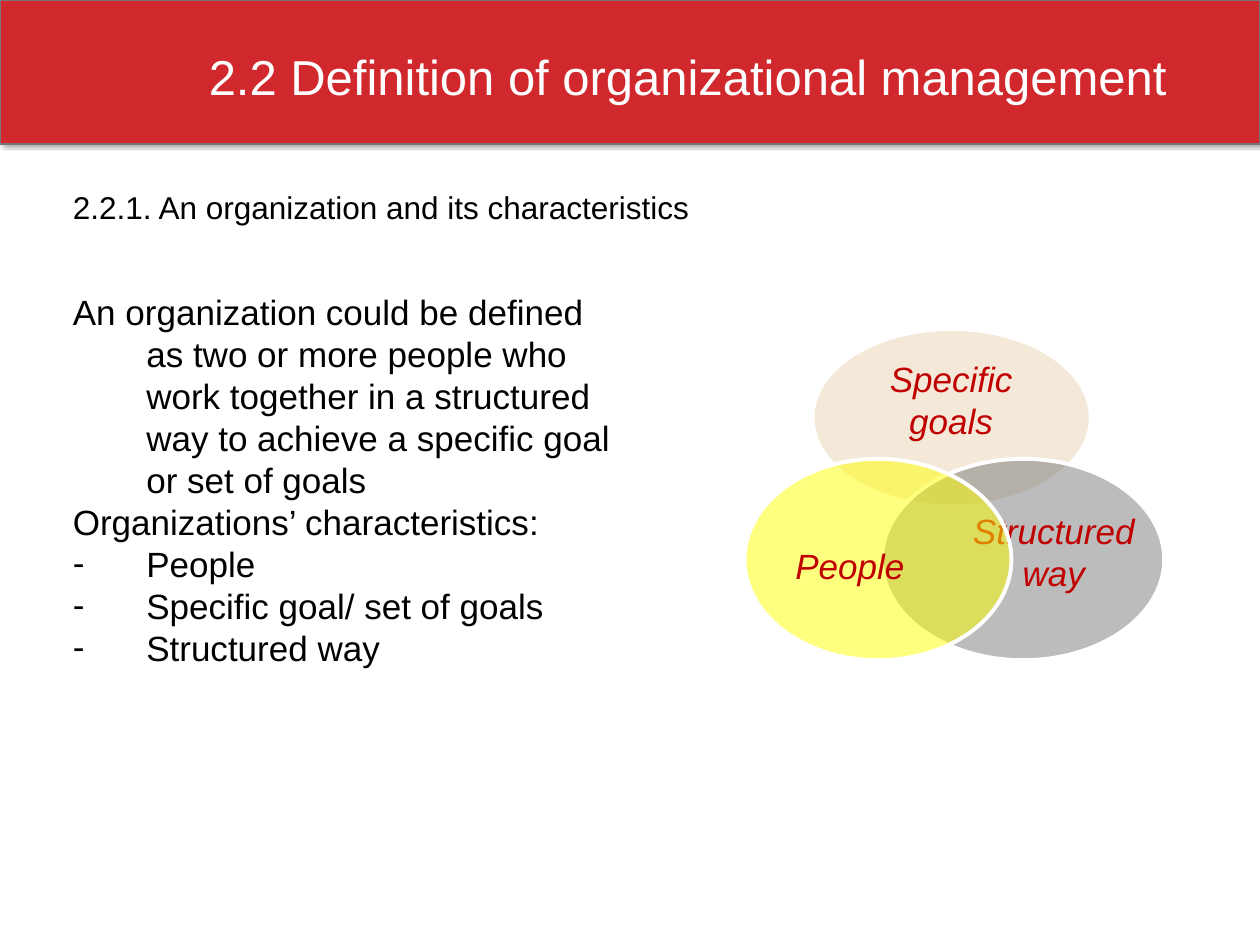
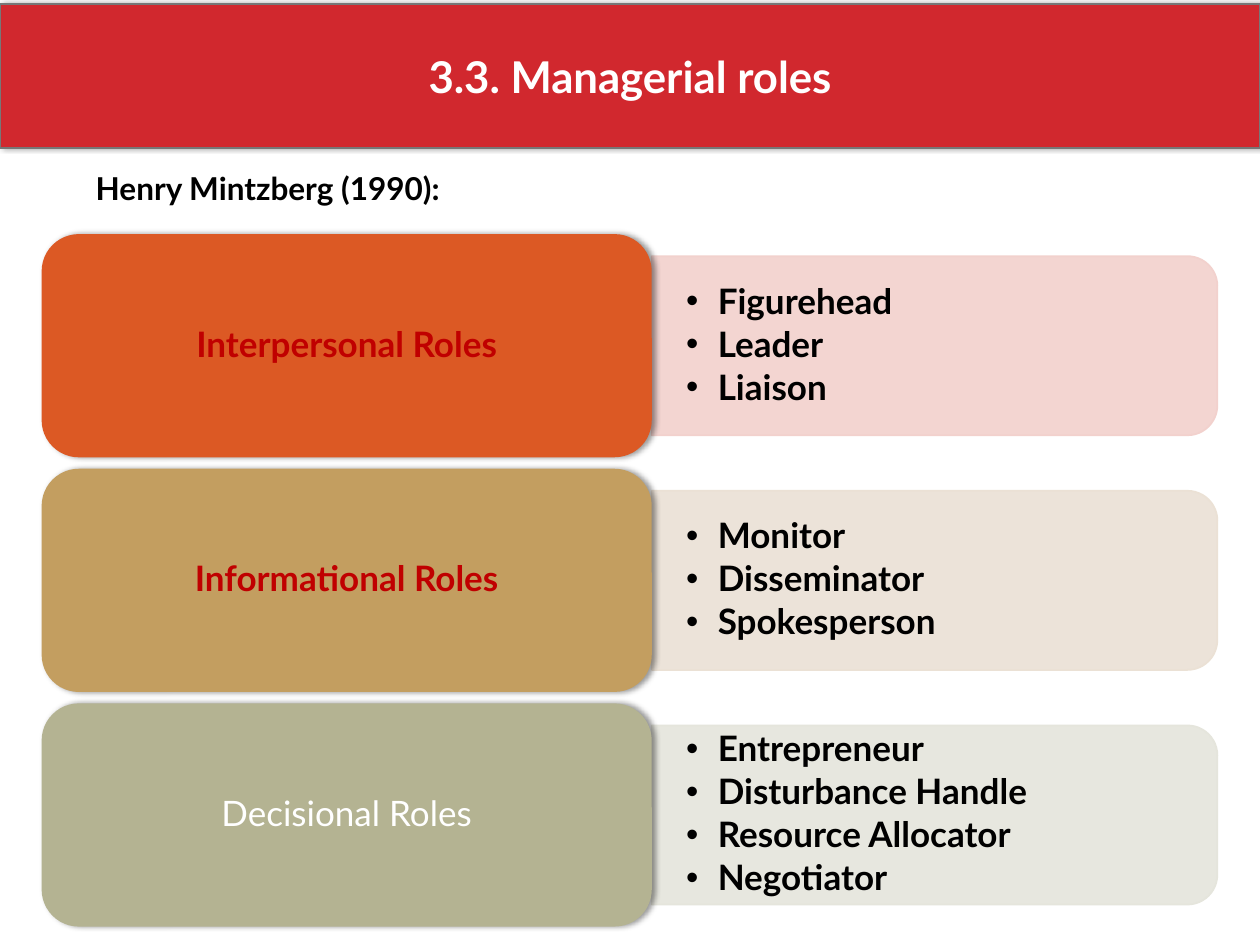
from lxml import etree
from pptx import Presentation
from pptx import util as u
from pptx.dml.color import RGBColor
from pptx.enum import shapes, text
from pptx.oxml import ns

RED = RGBColor(0xD1, 0x28, 0x2E)
DARK_RED = RGBColor(0xC0, 0x00, 0x00)
BAND_EDGE = RGBColor(0x77, 0x77, 0x77)
WHITE = RGBColor(0xFF, 0xFF, 0xFF)
BLACK = RGBColor(0x00, 0x00, 0x00)
SAND = RGBColor(0xEB, 0xD4, 0xB3)
GREY = RGBColor(0x7A, 0x7A, 0x7A)
YELLOW = RGBColor(0xFF, 0xFF, 0x00)
ORANGE = RGBColor(0xDC, 0x59, 0x24)
PINK = RGBColor(0xF2, 0xD1, 0xCD)
OCHRE = RGBColor(0xC3, 0x9E, 0x60)
BEIGE = RGBColor(0xEB, 0xE1, 0xD5)
OLIVE = RGBColor(0xB4, 0xB3, 0x92)
PALE_OLIVE = RGBColor(0xE5, 0xE5, 0xDC)

SLIDE_W, SLIDE_H = 25.4, 19.05
BAND_H = 2.9
SHAPE = shapes.MSO_SHAPE
LEFT, CENTER = text.PP_ALIGN.LEFT, text.PP_ALIGN.CENTER
TOP, MIDDLE = text.MSO_ANCHOR.TOP, text.MSO_ANCHOR.MIDDLE


def child(parent, tag, **attributes):
    node = etree.SubElement(parent, ns.qn(tag))
    for name, value in attributes.items():
        node.set(name, str(value))
    return node


def write(frame, lines, *, font="Arial", size=20, color=BLACK, bold=False,
          italic=False, align=LEFT, indent=0, bullet=None, spacing=None,
          before=0, after=0):
    """Add one paragraph per line, filling the frame's empty first one."""
    for line in lines:
        first = frame.paragraphs[0]
        paragraph = frame.add_paragraph() if first.runs else first
        paragraph.alignment = align
        paragraph.space_before = u.Pt(before)
        paragraph.space_after = u.Pt(after)
        if spacing:
            paragraph.line_spacing = spacing
        props = paragraph._p.get_or_add_pPr()
        if indent:
            props.set("marL", str(u.Cm(indent)))
            props.set("indent", str(-u.Cm(indent)))
        if bullet:
            child(props, "a:buFont", typeface="Arial")
            child(props, "a:buChar", char=bullet)
        run = paragraph.add_run()
        run.text = line
        run.font.name = font
        run.font.size = u.Pt(size)
        run.font.bold = bold
        run.font.italic = italic
        run.font.color.rgb = color


def set_frame(frame, anchor, insets):
    frame.word_wrap = True
    frame.vertical_anchor = anchor
    (frame.margin_left, frame.margin_top,
     frame.margin_right, frame.margin_bottom) = map(u.Cm, insets)
    return frame


def add_frame(slide, box, anchor=TOP, insets=(0.25, 0.13, 0.25, 0.13)):
    return set_frame(slide.shapes.add_textbox(*map(u.Cm, box)).text_frame,
                     anchor, insets)


def add_form(slide, kind, box, fill, *, line=None, width=1.0, alpha=None,
             shadow=False):
    form = slide.shapes.add_shape(kind, *map(u.Cm, box))
    form.shadow.inherit = False
    form.fill.solid()
    form.fill.fore_color.rgb = fill
    props = form._element.spPr
    if alpha:
        fill_color = props.find(ns.qn("a:solidFill"))[0]
        child(fill_color, "a:alpha", val=alpha * 1000)
    if line is None:
        form.line.fill.background()
    else:
        form.line.color.rgb = line
        form.line.width = u.Pt(width)
    if shadow:
        outer = child(props.find(ns.qn("a:effectLst")), "a:outerShdw",
                      blurRad=u.Pt(3.1), dist=u.Pt(1.8), dir=0, rotWithShape=0)
        child(child(outer, "a:srgbClr", val=BLACK), "a:alpha", val=40000)
    return form


def title_band(slide, top):
    return add_form(slide, SHAPE.RECTANGLE, (0, top, SLIDE_W, BAND_H), RED,
                    line=BAND_EDGE, shadow=True)


def venn(slide, left, top):
    """Three overlapping ellipses; each label lies just above its ellipse."""
    circles = [
        # ellipse box, fill, label box, bottom inset, label
        ((1.37, 0, 5.61, 3.58), SAND, (2.11, 0.63, 4.11, 1.6), 0,
         ["Specific", "goals"]),
        ((2.77, 2.62, 5.69, 4.06), GREY, (4.52, 3.66, 3.43, 2.24), 0.57,
         ["Structured", "way"]),
        ((0, 2.62, 5.38, 4.06), YELLOW, (0.51, 3.66, 3.23, 2.24), 0,
         ["People"]),
    ]
    for ellipse, fill, label, bottom, lines in circles:
        ellipse_box, label_box = (
            (left + x, top + y, w, h) for x, y, w, h in (ellipse, label))
        add_form(slide, SHAPE.OVAL, ellipse_box, fill, line=WHITE,
                 width=2.25, alpha=50)
        frame = add_frame(slide, label_box, MIDDLE, (0, 0, 0, bottom))
        write(frame, lines, color=DARK_RED, italic=True, align=CENTER)


def definition_slide(slide):
    # Title
    title_band(slide, 0)
    write(add_frame(slide, (3.96, 0.81, 20.88, 2.87)),
          ["2.2 Definition of organizational management"],
          size=28, color=WHITE, before=6)
    # Subtitle
    write(add_frame(slide, (1.22, 3.66, 22.07, 1.02)),
          ["2.2.1. An organization and its characteristics"], size=18)
    # Definition and characteristics
    body = add_frame(slide, (1.22, 5.72, 11.63, 9.65))
    write(body, [
        "An organization could be defined as two or more people who work "
        "together in a structured way to achieve a specific goal or set of "
        "goals",
        "Organizations’ characteristics:"], indent=1.48)
    write(body, ["People", "Specific goal/ set of goals", "Structured way"],
          indent=1.48, bullet="-")
    venn(slide, 15.01, 6.63)


def role_row(slide, box, name, roles, card_fill, panel_fill, name_color, bold):
    left, top, width, height = box
    card_w = 12.3
    panel_w, panel_h = width - card_w, 3.61
    panel_left, panel_top = left + card_w, top + (height - panel_h) / 2
    # Panel: upright shape turned a quarter, so its round corners face right
    turn = (panel_w - panel_h) / 2
    panel = add_form(slide, SHAPE.ROUND_2_SAME_RECTANGLE,
                     (panel_left + turn, panel_top - turn, panel_h, panel_w),
                     panel_fill, line=panel_fill, alpha=90)
    panel.rotation = 90
    write(add_frame(slide, (panel_left, panel_top, panel_w, panel_h), MIDDLE,
                    (0.69, 0.36, 0.69, 0.36)),
          roles, font="Lato", bold=True, indent=0.64, bullet="•",
          spacing=0.9, after=3)
    # Card with the name of the group of roles
    card = add_form(slide, SHAPE.ROUNDED_RECTANGLE, (left, top, card_w, height),
                    card_fill, shadow=True)
    write(set_frame(card.text_frame, MIDDLE, (0.2, 0.1, 0.2, 0.1)), [name],
          font="Lato", color=name_color, bold=bold, align=CENTER, spacing=0.9)


def roles_slide(slide):
    # Title
    band = title_band(slide, 0.08)
    write(set_frame(band.text_frame, MIDDLE, (0.25, 0.13, 0.25, 0.13)),
          ["3.3. Managerial roles"], font="Lato", size=25, color=WHITE,
          bold=True, align=CENTER)
    # Groups of roles
    groups = [
        ("Interpersonal Roles", ["Figurehead", "Leader", "Liaison"],
         ORANGE, PINK, DARK_RED, True),
        ("Informational Roles", ["Monitor", "Disseminator", "Spokesperson"],
         OCHRE, BEIGE, DARK_RED, True),
        ("Decisional Roles", ["Entrepreneur", "Disturbance Handle",
                              "Resource Allocator", "Negotiator"],
         OLIVE, PALE_OLIVE, WHITE, False),
    ]
    for row, group in enumerate(groups):
        role_row(slide, (0.84, 4.72 + row * 4.73, 23.7, 4.5), *group)
    # Author
    write(add_frame(slide, (1.55, 3.28, 19.74, 1.8), TOP,
                    (0.38, 0.13, 0.25, 0.13)),
          ["Henry Mintzberg (1990):"], font="Lato", size=18, bold=True)


def main():
    deck = Presentation()
    deck.slide_width, deck.slide_height = u.Cm(SLIDE_W), u.Cm(SLIDE_H)
    for build in (definition_slide, roles_slide):
        build(deck.slides.add_slide(deck.slide_layouts[6]))
    deck.save("out.pptx")


if __name__ == "__main__":
    main()
